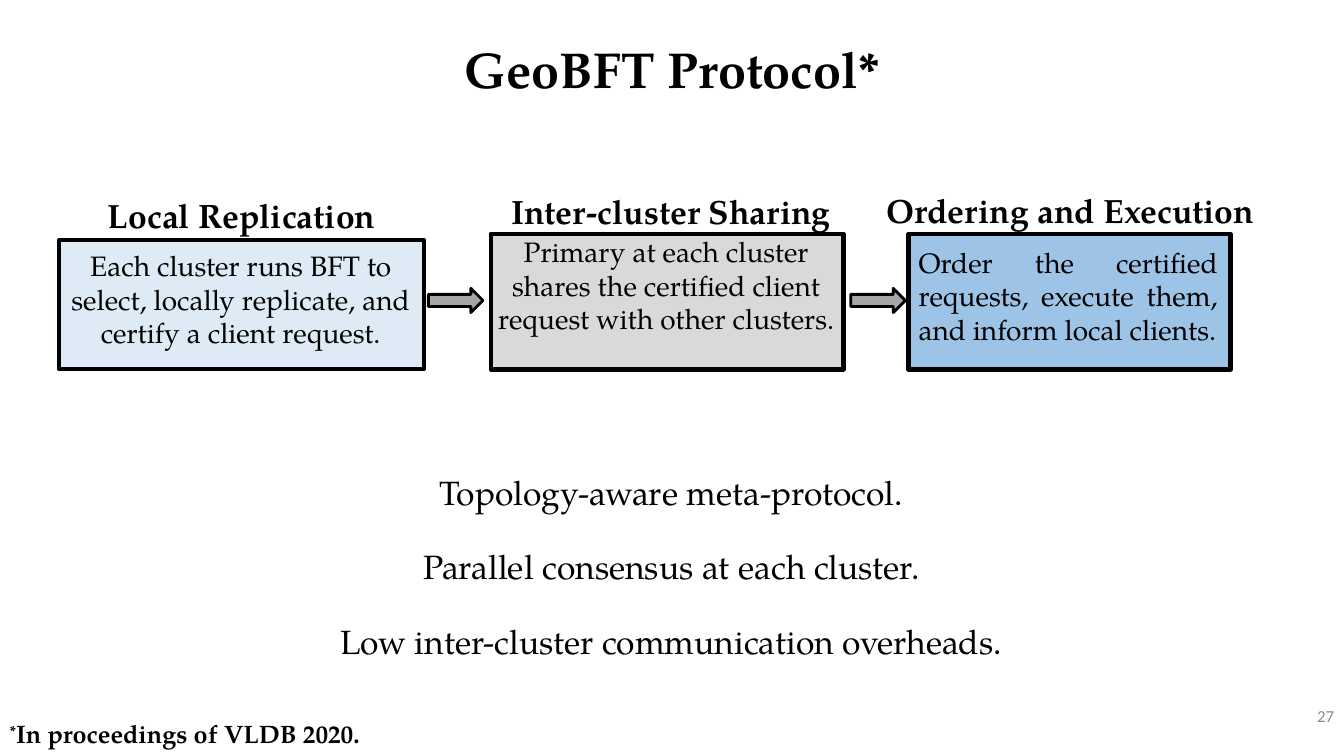
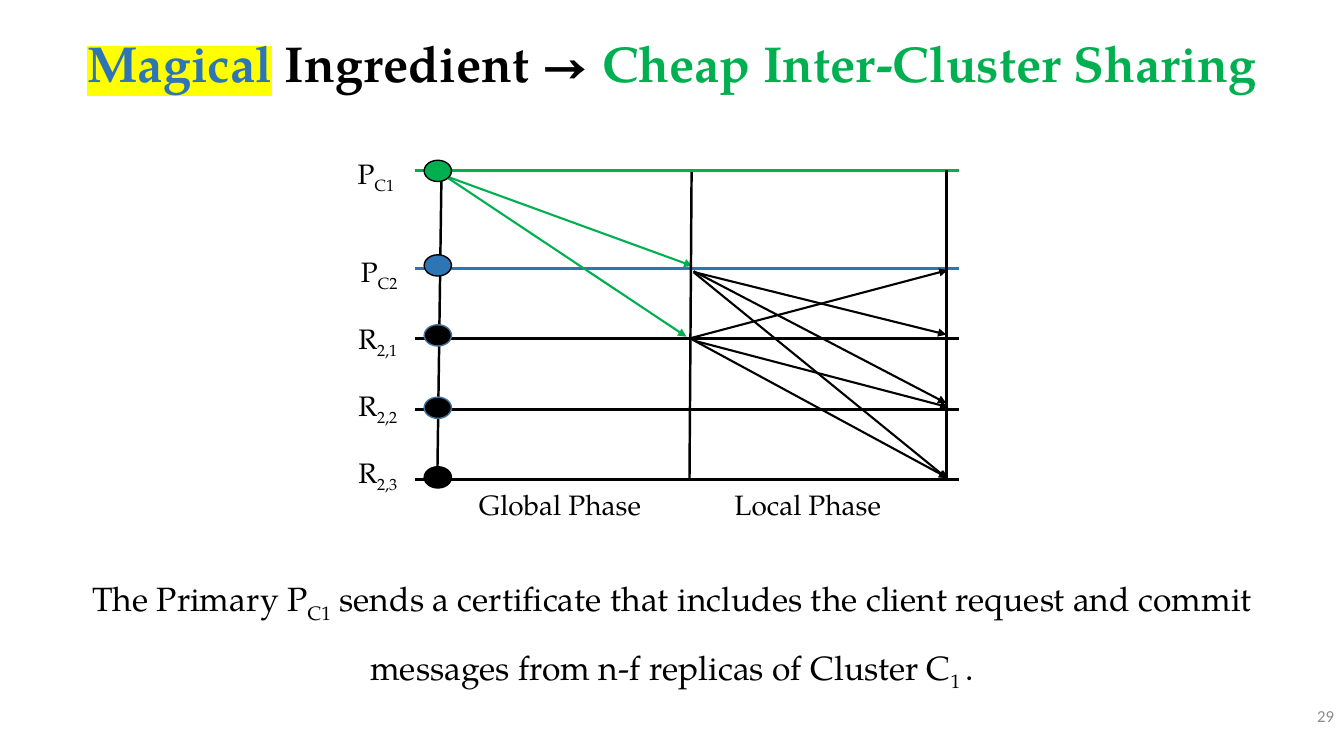
"""Build two slides on the GeoBFT protocol and its inter-cluster sharing."""
from dataclasses import dataclass
from typing import NamedTuple, Optional

from lxml import etree
from pptx import Presentation
from pptx.dml.color import RGBColor
from pptx.enum.shapes import MSO_CONNECTOR, MSO_SHAPE
from pptx.enum.text import MSO_ANCHOR, MSO_AUTO_SIZE, PP_ALIGN
from pptx.oxml.ns import qn
from pptx.slide import Slide
from pptx.text.text import TextFrame
from pptx.util import Pt

LEFT, CENTER, RIGHT, JUSTIFY = PP_ALIGN.LEFT, PP_ALIGN.CENTER, PP_ALIGN.RIGHT, PP_ALIGN.JUSTIFY
TOP, MIDDLE, BOTTOM = MSO_ANCHOR.TOP, MSO_ANCHOR.MIDDLE, MSO_ANCHOR.BOTTOM
RECT, ARROW, OVAL = MSO_SHAPE.RECTANGLE, MSO_SHAPE.RIGHT_ARROW, MSO_SHAPE.OVAL
STRAIGHT, NO_FIT = MSO_CONNECTOR.STRAIGHT, MSO_AUTO_SIZE.NONE
CONTENT_LAYOUT, TITLE_LAYOUT = 1, 5


@dataclass(frozen=True)
class Theme:
    """Colours, fonts and type sizes shared by the slides."""
    black: RGBColor = RGBColor(0x00, 0x00, 0x00)
    green: RGBColor = RGBColor(0x00, 0xB0, 0x50)
    blue: RGBColor = RGBColor(0x2E, 0x75, 0xB6)
    edge: RGBColor = RGBColor(0x43, 0x73, 0x9E)
    pale: RGBColor = RGBColor(0xDE, 0xEB, 0xF7)
    sky: RGBColor = RGBColor(0x9D, 0xC3, 0xE6)
    silver: RGBColor = RGBColor(0xD9, 0xD9, 0xD9)
    gray: RGBColor = RGBColor(0xA6, 0xA6, 0xA6)
    number: RGBColor = RGBColor(0x8C, 0x8C, 0x8C)
    marker: str = "FFFF00"
    font: str = "TeX Gyre Pagella"
    number_font: str = "Calibri"
    title: float = 36
    body: float = 24
    label: float = 20
    note: float = 18
    small: float = 12


T = Theme()


class Box(NamedTuple):
    """Left, top, width and height in points."""
    x: float
    y: float
    w: float
    h: float


class Run(NamedTuple):
    """A piece of text with its colour, baseline shift and highlight."""
    text: str
    color: RGBColor = T.black
    base: int = 0
    highlight: Optional[str] = None


class Style(NamedTuple):
    """Formatting of a whole text frame."""
    size: float
    bold: bool = False
    align: PP_ALIGN = LEFT
    anchor: MSO_ANCHOR = TOP
    spacing: float = 1.0
    before: float = 0
    wrap: bool = True
    font: str = T.font
    plain_list: bool = False


class Phase(NamedTuple):
    """A protocol phase: heading, frame and description."""
    name: str
    head: Box
    frame: Box
    fill: RGBColor
    text: str
    text_box: Box
    align: PP_ALIGN


class Lane(NamedTuple):
    """A replica's time line, with its label and node."""
    name: str
    sub: str
    y: float
    label_right: float
    label_y: float
    node_y: float
    color: RGBColor
    edge: RGBColor


class Link(NamedTuple):
    """A line between two points."""
    x1: float
    y1: float
    x2: float
    y2: float
    color: RGBColor = T.black
    width: float = 1.5
    arrow: bool = True


HEAD = Style(T.body, bold=True, wrap=False)
TITLE = Style(T.title, bold=True, align=CENTER, anchor=MIDDLE)
POINTS = Style(T.body, align=CENTER, spacing=1.5, before=10)
TAG = Style(T.label, align=CENTER, wrap=False)
NUMBER = Style(T.small, align=RIGHT, anchor=MIDDLE, font=T.number_font)
NOTE = Style(T.note, bold=True, anchor=BOTTOM, spacing=0.9)

PHASES = [
    Phase("Local Replication", Box(70, 136, 209, 36), Box(42, 171.5, 261, 92), T.pale,
          "Each cluster runs BFT to select, locally replicate, and certify a client request.",
          Box(42.5, 174, 259, 80), CENTER),
    Phase("Inter-cluster Sharing", Box(358, 132.5, 244, 36), Box(350.5, 167, 252, 97), T.silver,
          "Primary at each cluster shares the certified client request with other clusters.",
          Box(346.3, 164, 259.2, 80), CENTER),
    Phase("Ordering and Execution", Box(626, 132, 279, 36), Box(649, 167, 230, 97), T.sky,
          "Order the certified requests, execute them, and inform local clients.",
          Box(649, 171.5, 228, 80), JUSTIFY),
]
LANES = [
    Lane("P", "C1", 121.7, 288.7, 108, 114.5, T.green, T.black),
    Lane("P", "C2", 191.5, 291, 178.5, 182, T.blue, T.black),
    Lane("R", "2,1", 242, 291, 226, 232, T.black, T.edge),
    Lane("R", "2,2", 292.3, 291, 274.3, 283.7, T.black, T.edge),
    Lane("R", "2,3", 342.7, 291, 322, 333.4, T.black, T.black),
]
LINKS = [
    Link(319, 126, 494.6, 190, T.green),
    Link(320.4, 127.4, 490.3, 240.5, T.green),
    Link(315.4, 121.7, 312.5, 333.4, width=1.75, arrow=False),
    Link(494, 123, 492.5, 342.7, width=1.75, arrow=False),
    Link(676, 121.7, 676, 342, width=1.75, arrow=False),
    Link(494.6, 241.2, 676.8, 193),
    Link(495.4, 193.7, 676, 288),
    Link(495.4, 194.4, 676.8, 342),
    Link(496, 243.4, 677.5, 290.9),
    Link(494.6, 242.6, 676.8, 341.3),
    Link(496, 194.4, 676, 239),
]
PHASE_TAGS = {"Global Phase": Box(334, 345, 132, 32), "Local Phase": Box(517, 345, 120, 32)}


def write(tf: TextFrame, paragraphs: list[list[Run]], style: Style) -> None:
    """Fill a text frame run by run."""
    tf.word_wrap, tf.auto_size, tf.vertical_anchor = style.wrap, NO_FIT, style.anchor
    for i, runs in enumerate(paragraphs):
        p = tf.add_paragraph() if i else tf.paragraphs[0]
        if style.plain_list:
            pPr = p._p.get_or_add_pPr()
            pPr.set("marL", "0")
            pPr.set("indent", "0")
            etree.SubElement(pPr, qn("a:buNone"))
        p.alignment, p.line_spacing = style.align, style.spacing
        p.space_before = Pt(style.before if i else 0)
        for run in runs:
            r = p.add_run()
            r.text = run.text
            r.font.size, r.font.bold, r.font.name = Pt(style.size), style.bold, style.font
            r.font.color.rgb = run.color
            rPr = r._r.get_or_add_rPr()
            if run.base:
                rPr.set("baseline", str(run.base * 1000))
            if run.highlight:
                mark = etree.Element(qn("a:highlight"))
                etree.SubElement(mark, qn("a:srgbClr"), val=run.highlight)
                rPr.find(qn("a:solidFill")).addnext(mark)


def add_text(s: Slide, box: Box, paragraphs: list[list[Run]], style: Style) -> None:
    """Add a text box."""
    write(s.shapes.add_textbox(*map(Pt, box)).text_frame, paragraphs, style)


def fill_placeholder(s: Slide, idx: int, box: Box, paragraphs: list[list[Run]], style: Style) -> None:
    """Move a template placeholder and fill it."""
    sp = s.placeholders[idx]
    sp.left, sp.top, sp.width, sp.height = map(Pt, box)
    write(sp.text_frame, paragraphs, style)


def add_shape(s: Slide, kind: MSO_SHAPE, box: Box, fill: RGBColor, line: RGBColor, width: float) -> None:
    """Add a filled and outlined preset shape."""
    sp = s.shapes.add_shape(kind, *map(Pt, box))
    sp.shadow.inherit = False
    sp.fill.solid()
    sp.fill.fore_color.rgb = fill
    sp.line.color.rgb, sp.line.width = line, Pt(width)


def add_link(s: Slide, link: Link) -> None:
    """Add a straight line, with an arrowhead if it has one."""
    c = s.shapes.add_connector(STRAIGHT, *map(Pt, link[:4]))
    c.line.color.rgb, c.line.width = link.color, Pt(link.width)
    spPr = c._element.spPr
    if link.arrow:
        etree.SubElement(spPr.find(qn("a:ln")), qn("a:tailEnd"), type="triangle")
    etree.SubElement(spPr, qn("a:effectLst"))


def start_slide(prs: Presentation, layout: int, number: int, title: list[Run], box: Box, spacing: float) -> Slide:
    """Add a slide with its title and page number."""
    s = prs.slides.add_slide(prs.slide_layouts[layout])
    fill_placeholder(s, 0, box, [title], TITLE._replace(spacing=spacing))
    add_text(s, Box(837.5, 497, 122.5, 29), [[Run(str(number), T.number)]], NUMBER)
    return s


def protocol_slide(prs: Presentation) -> None:
    """Show the three phases of the protocol."""
    s = start_slide(prs, CONTENT_LAYOUT, 27, [Run("GeoBFT Protocol*")], Box(0, 28, 960, 47.5), 0.9)
    for phase in PHASES:
        add_shape(s, RECT, phase.frame, phase.fill, T.black, 3)
        add_text(s, phase.head, [[Run(phase.name)]], HEAD)
        add_text(s, phase.text_box, [[Run(phase.text)]], Style(T.label, align=phase.align))
    for x in (306, 607.7):
        add_shape(s, ARROW, Box(x, 206, 39, 17.3), T.gray, T.black, 2)
    points = ["Topology-aware meta-protocol.", "Parallel consensus at each cluster.",
              "Low inter-cluster communication overheads."]
    fill_placeholder(s, 1, Box(24.5, 319, 910, 154), [[Run(t)] for t in points],
                     POINTS._replace(plain_list=True))
    add_text(s, Box(0, 512, 302, 26.6), [[Run("*", base=30), Run("In proceedings of VLDB 2020.")]], NOTE)


def sharing_slide(prs: Presentation) -> None:
    """Show the message flow between two clusters."""
    title = [Run("Magical", T.blue, highlight=T.marker), Run(" Ingredient → "),
             Run("Cheap Inter-Cluster Sharing", T.green)]
    s = start_slide(prs, TITLE_LAYOUT, 29, title, Box(0, 12.2, 960, 56), 1.2)
    for lane in LANES:
        add_link(s, Link(296.6, lane.y, 684.7, lane.y, lane.color, 2.25, False))
        add_text(s, Box(lane.label_right - 44, lane.label_y, 44, 31.7),
                 [[Run(lane.name), Run(lane.sub, base=-25)]], TAG._replace(align=RIGHT))
    for link in LINKS:
        add_link(s, link)
    for lane in LANES:
        add_shape(s, OVAL, Box(303, lane.node_y, 19.5, 15.2), lane.color, lane.edge, 1)
    for name, box in PHASE_TAGS.items():
        add_text(s, box, [[Run(name)]], TAG)
    add_text(s, Box(25, 393, 910, 90), [[
        Run("The Primary P"), Run("C1", base=-25),
        Run(" sends a certificate that includes the client request and commit messages "
            "from n-f replicas of Cluster C"),
        Run("1 ", base=-25), Run(".")]], POINTS)


def main() -> None:
    """Build and save the presentation."""
    prs = Presentation()
    prs.slide_width, prs.slide_height = Pt(960), Pt(540)
    protocol_slide(prs)
    sharing_slide(prs)
    prs.save("out.pptx")


if __name__ == "__main__":
    main()
